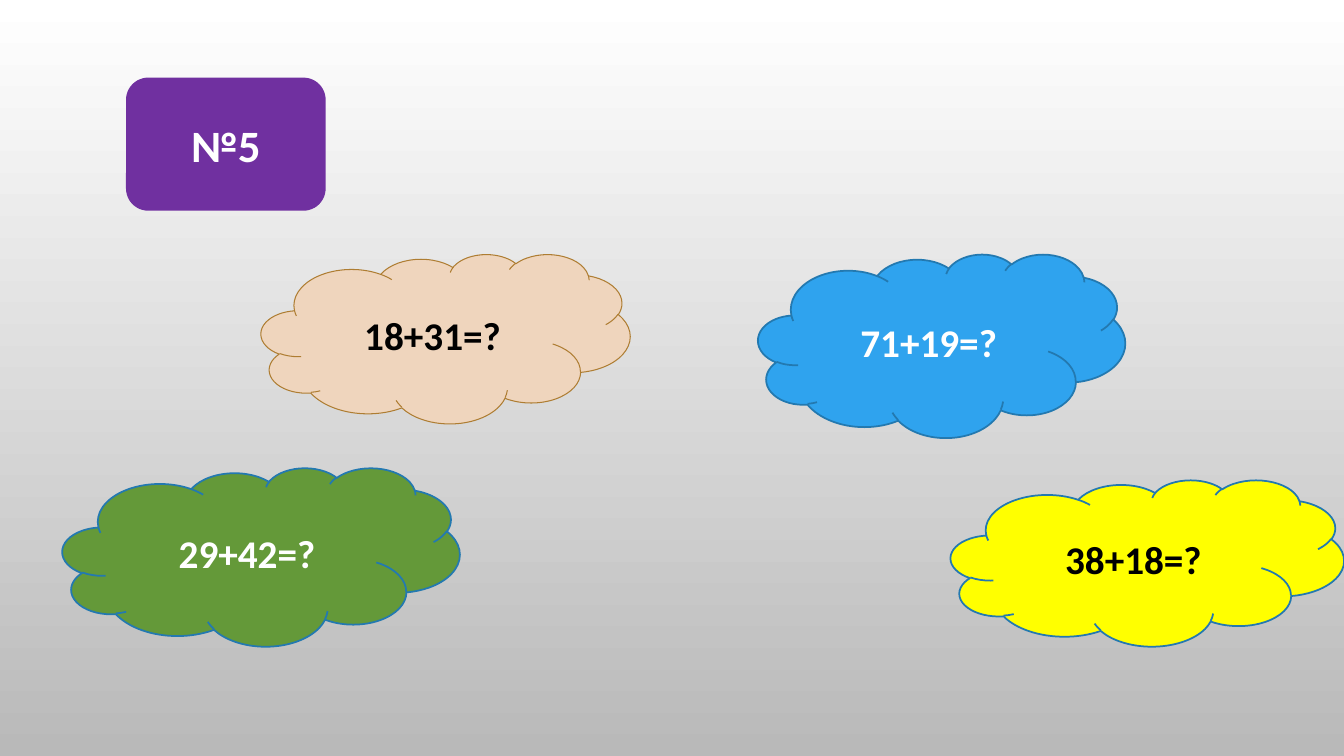
"""Build a slide with a numbered badge and four addition clouds."""
from dataclasses import dataclass

from pptx import Presentation
from pptx.dml.color import RGBColor
from pptx.enum.shapes import MSO_SHAPE
from pptx.enum.text import MSO_ANCHOR, PP_ALIGN
from pptx.slide import Slide
from pptx.util import Emu, Pt

BADGE = MSO_SHAPE.ROUNDED_RECTANGLE
CLOUD = MSO_SHAPE.CLOUD
CENTER = PP_ALIGN.CENTER
MIDDLE = MSO_ANCHOR.MIDDLE
EMU_PER_PX = 9144
BLANK_LAYOUT = 6
DOWNWARD = 270


@dataclass(frozen=True)
class Theme:
    font: str = "Calibri"
    badge_size: int = 32
    sum_size: int = 28
    thin: float = 0.75
    medium: float = 1.25
    white: str = "FFFFFF"
    black: str = "000000"
    gray: str = "B9B9B9"
    purple: str = "7030A0"
    peach: str = "EFD5BD"
    brown: str = "AE7D32"
    blue: str = "2FA3EE"
    dark_blue: str = "2379B0"
    yellow: str = "FFFF00"
    green: str = "649939"


THEME = Theme()


@dataclass(frozen=True)
class Label:
    text: str
    left: int
    top: int
    width: int
    height: int
    fill: str
    color: str
    line: str | None = THEME.dark_blue
    line_width: float = THEME.medium
    size: int = THEME.sum_size
    kind: MSO_SHAPE = CLOUD


LABELS = (
    Label("№5", 125, 77, 198, 132, THEME.purple, THEME.white,
          line=None, size=THEME.badge_size, kind=BADGE),
    Label("18+31=?", 259, 252, 366, 168, THEME.peach, THEME.black,
          line=THEME.brown, line_width=THEME.thin),
    Label("71+19=?", 752, 252, 364, 182, THEME.blue, THEME.white),
    Label("38+18=?", 943, 476, 390, 165, THEME.yellow, THEME.black),
    Label("29+42=?", 62, 464, 394, 177, THEME.green, THEME.white),
)


def px(n: int) -> Emu:
    """Turn whole px into EMU."""
    return Emu(n * EMU_PER_PX)


def rgb(value: str) -> RGBColor:
    """Turn a hex string into a colour."""
    return RGBColor.from_string(value)


def paint_background(s: Slide) -> None:
    """Fill the slide with a gradient from white down to gray."""
    fill = s.background.fill
    fill.gradient()
    fill.gradient_angle = DOWNWARD
    for stop, color, position in zip(
            fill.gradient_stops, (THEME.white, THEME.gray), (0, 1)):
        stop.color.rgb = rgb(color)
        stop.position = position


def add_label(s: Slide, label: Label) -> None:
    """Draw one filled shape with its centred bold text."""
    sp = s.shapes.add_shape(label.kind, px(label.left), px(label.top),
                            px(label.width), px(label.height))
    sp.shadow.inherit = False
    sp.fill.solid()
    sp.fill.fore_color.rgb = rgb(label.fill)
    if label.line is None:
        sp.line.fill.background()
    else:
        sp.line.color.rgb = rgb(label.line)
        sp.line.width = Pt(label.line_width)
    tf = sp.text_frame
    tf.word_wrap = True
    tf.vertical_anchor = MIDDLE
    p = tf.paragraphs[0]
    p.alignment = CENTER
    r = p.add_run()
    r.text = label.text
    r.font.name = THEME.font
    r.font.size = Pt(label.size)
    r.font.bold = True
    r.font.color.rgb = rgb(label.color)


def main() -> None:
    """Build and save the presentation."""
    prs = Presentation()
    prs.slide_width, prs.slide_height = px(1333), px(750)
    s = prs.slides.add_slide(prs.slide_layouts[BLANK_LAYOUT])
    paint_background(s)
    for label in LABELS:
        add_label(s, label)
    prs.save("out.pptx")


if __name__ == "__main__":
    main()
